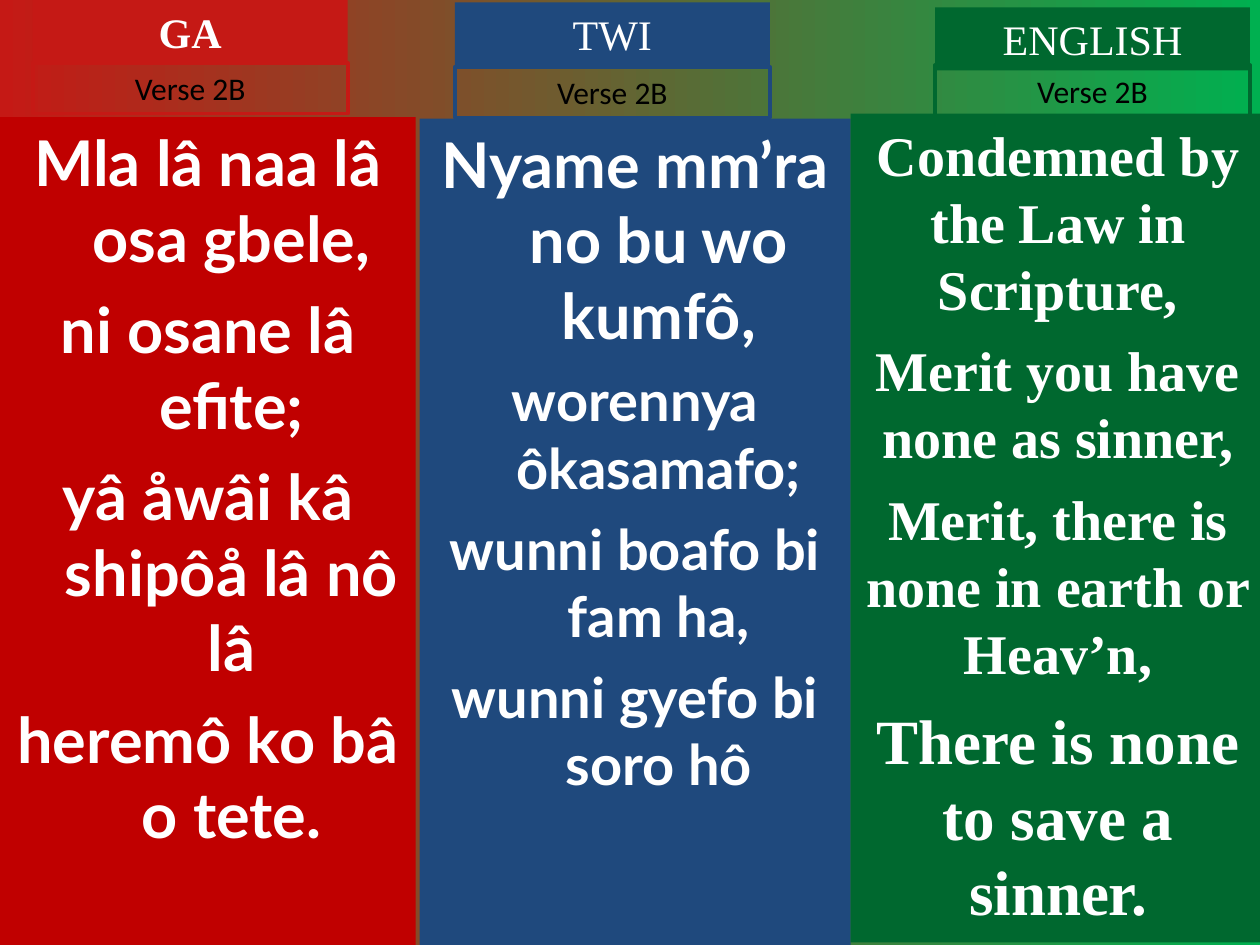
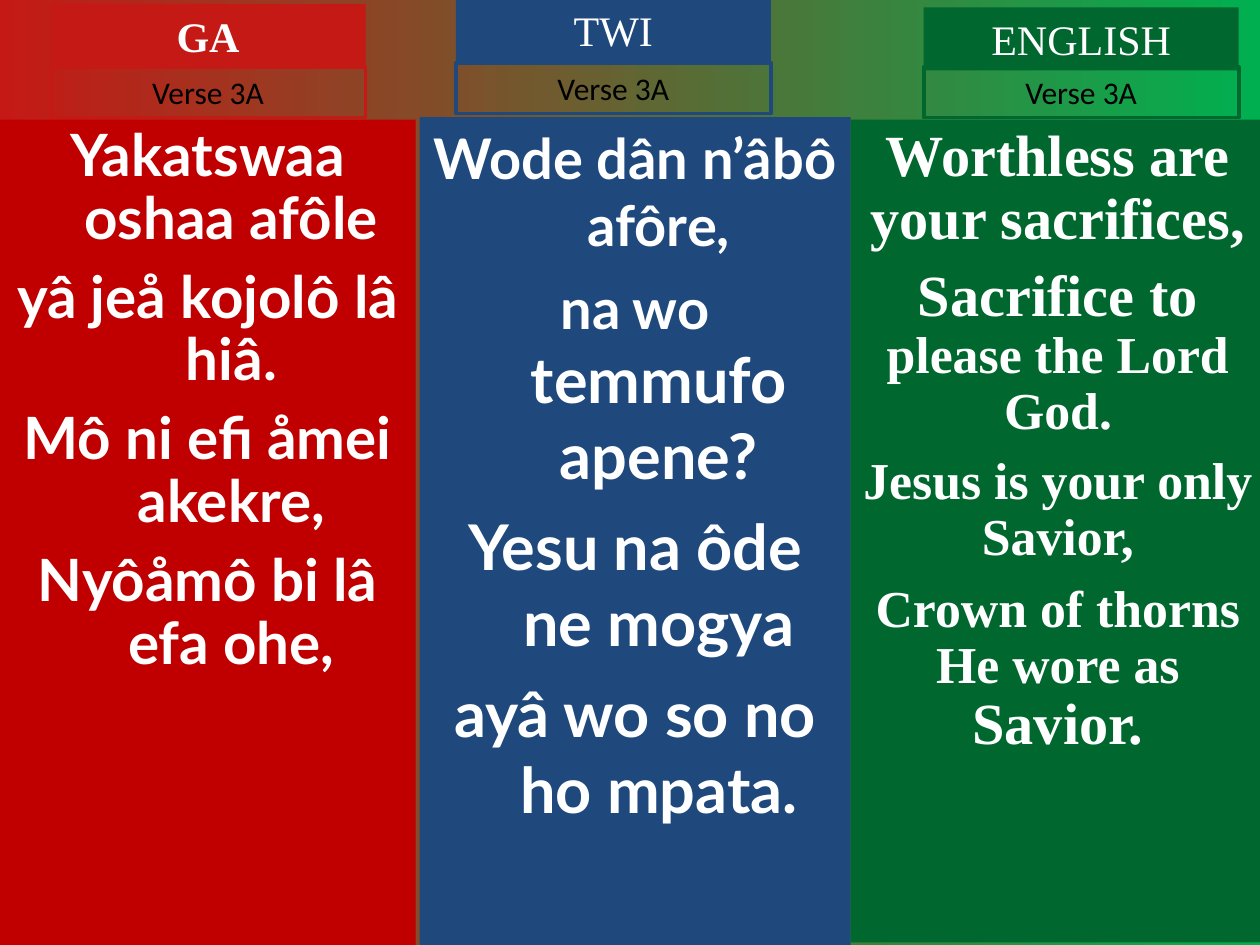
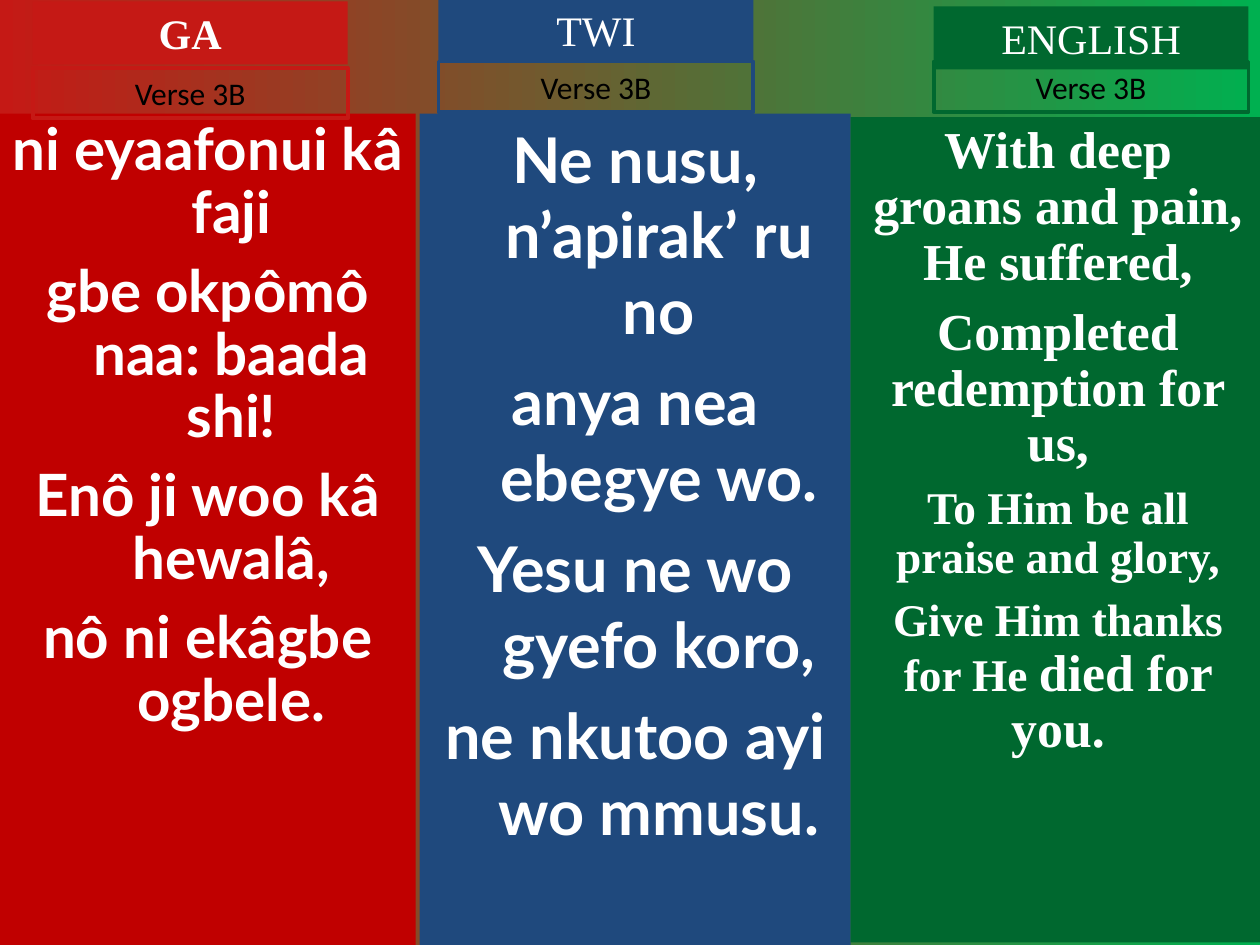
import math

import lxml.etree
import pptx
import pptx.dml.color
import pptx.enum.shapes
import pptx.enum.text
import pptx.oxml.ns
import pptx.util

Cm = pptx.util.Cm
Pt = pptx.util.Pt

HUES = {
    "left": "C51915", "right": "00B050", "white": "FFFFFF", "black": "000000",
    "red": "C00000", "scarlet": "C51915", "blue": "1F497D", "green": "00682F",
}
FRAME = {
    "margin_left": Cm(0.25), "margin_right": Cm(0.25),
    "margin_top": Cm(0.13), "margin_bottom": Cm(0.13),
    "word_wrap": True,
    "auto_size": pptx.enum.text.MSO_AUTO_SIZE.NONE,
    "vertical_anchor": pptx.enum.text.MSO_ANCHOR.TOP,
}
LABEL = {"name": "Times New Roman", "size": Pt(24)}
VERSE = {"name": "Calibri", "size": Pt(18), "bold": False}
COLUMNS = [
    {"name": "GA", "left": 0, "width": 8.38, "end": 19.05, "fill": "red",
     "tab": "scarlet", "font": "Lato", "bold": True},
    {"name": "TWI", "left": 8.46, "width": 8.69, "end": 19.05, "fill": "blue",
     "tab": "blue", "font": "Lato", "bold": False},
    {"name": "ENGLISH", "left": 17.15, "width": 8.36, "end": 19, "fill": "green",
     "tab": "green", "font": "Times New Roman", "bold": False},
]
SLIDES = [
    ("Verse 2B", [
        {"top": 2.36, "tab": (0.66, 0), "verse": 1.27, "pitch": 1, "lines": [
            [("Mla lâ naa lâ osa gbele,", 36)],
            [("ni osane lâ efite;", 36)],
            [("yâ åwâi kâ shipôå lâ nô lâ", 36)],
            [("heremô ko bâ o tete.", 36)]]},
        {"top": 2.39, "tab": (0.71, 0.05), "verse": 1.35, "pitch": 1, "lines": [
            [("Nyame mm’ra no bu wo kumfô,", 36)],
            [("worennya ôkasamafo;", 32)],
            [("wunni boafo bi fam ha,", 32)],
            [("wunni gyefo bi soro hô", 32)]]},
        {"top": 2.29, "tab": (1.7, 0.15), "verse": 1.32, "pitch": 1, "lines": [
            [("Condemned by the Law in Scripture,", 32)],
            [("Merit you have none as sinner,", 32)],
            [("Merit, there is none in earth or Heav’n,", 32)],
            [("There is none to save a sinner.", 36)]]},
    ]),
    ("Verse 3A", [
        {"top": 2.41, "tab": (1.02, 0.08), "verse": 1.35, "pitch": 0.9, "lines": [
            [("Yakatswaa oshaa afôle", 33.3)],
            [("yâ jeå kojolô lâ hiâ.", 33.3)],
            [("Mô ni efi åmei akekre,", 33.3)],
            [("Nyôåmô bi lâ efa ohe,", 33.3)]]},
        {"top": 2.36, "tab": (0.73, -0.03), "verse": 1.27, "pitch": 1, "lines": [
            [("Wode dân n’âbô afôre,", 32)],
            [("na wo ", 32), ("temmufo apene?", 36)],
            [("Yesu na ôde ne mogya", 36)],
            [("ayâ wo so no ho mpata.", 36)]]},
        {"top": 2.41, "tab": (1.47, 0.15), "verse": 1.35, "pitch": 0.9, "lines": [
            [("Worthless are your sacrifices,", 33.3)],
            [("Sacrifice to ", 33.3), ("please the Lord God.", 29.6)],
            [("Jesus is your only Savior,", 29.6)],
            [("Crown of thorns He wore as ", 29.6), ("Savior.", 33.3)]]},
    ]),
    ("Verse 3B", [
        {"top": 2.29, "tab": (0.66, 0.03), "verse": 1.37, "pitch": 0.9, "lines": [
            [("ni eyaafonui kâ faji", 33.3)],
            [("gbe okpômô naa: baada shi!", 33.3)],
            [("Enô ji woo kâ hewalâ,", 33.3)],
            [("nô ni ekâgbe ogbele.", 33.3)]]},
        {"top": 2.29, "tab": (0.38, -0.03), "verse": 1.24, "pitch": 1, "lines": [
            [("Ne nusu, n’apirak’ ru no", 36)],
            [("anya nea ebegye wo.", 36)],
            [("Yesu ne wo gyefo koro,", 36)],
            [("ne nkutoo ayi wo mmusu.", 36)]]},
        {"top": 2.36, "tab": (1.67, 0.13), "verse": 1.24, "pitch": 0.9, "lines": [
            [("With deep groans and pain, He suffered,", 29.6)],
            [("Completed redemption for us,", 29.6)],
            [("To Him be all praise and glory,", 25.9)],
            [("Give Him thanks for He ", 25.9), ("died for you.", 29.6)]]},
    ]),
]


def tint(hue):
    """Return the named colour."""
    return pptx.dml.color.RGBColor.from_string(HUES[hue])


def apply(target, values):
    """Set each attribute in values on the target."""
    for key, value in values.items():
        setattr(target, key, value)


def place(slide, holder, box, fill=None, line=None):
    """Put a filled or outlined rectangle in the box, reusing a placeholder if given."""
    shape = holder
    if shape is None:
        kind = pptx.enum.shapes.MSO_SHAPE.RECTANGLE
        shape = slide.shapes.add_shape(kind, 0, 0, 0, 0)
    apply(shape, dict(zip(("left", "top", "width", "height"), map(Cm, box))))
    shape.shadow.inherit = False
    if fill:
        shape.fill.solid()
        shape.fill.fore_color.rgb = tint(fill)
    else:
        shape.fill.background()
    if line:
        shape.line.color.rgb = tint(line)
        shape.line.width = Pt(2.25)
    else:
        shape.line.fill.background()
    apply(shape.text_frame, FRAME)
    return shape


def write(para, text, style, hue):
    """Add a formatted run to a centred paragraph."""
    para.alignment = pptx.enum.text.PP_ALIGN.CENTER
    run = para.add_run()
    run.text = text
    apply(run.font, style)
    run.font.color.rgb = tint(hue)


def panel(slide, holder, box, col, part):
    """Fill the box with the lines of one hymn verse."""
    frame = place(slide, holder, box, col["fill"]).text_frame
    for num, line in enumerate(part["lines"]):
        para = frame.add_paragraph() if num else frame.paragraphs[0]
        props = para._p.get_or_add_pPr()
        lxml.etree.SubElement(props, pptx.oxml.ns.qn("a:buNone"))
        gap = math.ceil(line[-1][1] / 4) if num else 0
        apply(para, {"line_spacing": part["pitch"], "space_before": Pt(gap)})
        for text, size in line:
            style = {"name": col["font"], "size": Pt(size), "bold": True}
            write(para, text, style, "white")


def header(slide, holder, box, col, part, verse):
    """Stack the language tab and the verse label inside the box."""
    left, top, width = box
    tab = place(slide, holder, (left, top, width, 1.27), col["tab"])
    write(tab.text_frame.paragraphs[0], col["name"],
          {**LABEL, "bold": col["bold"]}, "white")
    label = place(slide, None, (left, part["verse"], width, 1.02), line=col["tab"])
    write(label.text_frame.paragraphs[0], verse, VERSE, "black")


def column(slide, holders, col, part, verse):
    """Build one language column with its header."""
    body, title = holders
    left, top = col["left"], part["top"]
    panel(slide, body, (left, top, col["width"], col["end"] - top), col, part)
    shift, rise = part["tab"]
    header(slide, title, (left + shift, rise, 6.35), col, part, verse)


def backdrop(master):
    """Give every slide the red to green gradient."""
    fill = master.background.fill
    fill.gradient()
    fill.gradient_angle = 0
    for stop, hue, spot in zip(fill.gradient_stops, ("left", "right"), (0, 1)):
        stop.color.rgb = tint(hue)
        stop.position = spot


def main():
    """Build and save the hymn slides."""
    deck = pptx.Presentation()
    apply(deck, {"slide_width": Cm(25.4), "slide_height": Cm(19.05)})
    backdrop(deck.slide_master)
    for verse, parts in SLIDES:
        slide = deck.slides.add_slide(deck.slide_layouts[3])
        title, *bodies = slide.placeholders
        holders = [(bodies[0], title), (bodies[1], None), (None, None)]
        for hold, col, part in zip(holders, COLUMNS, parts):
            column(slide, hold, col, part, verse)
    deck.save("out.pptx")


if __name__ == "__main__":
    main()
